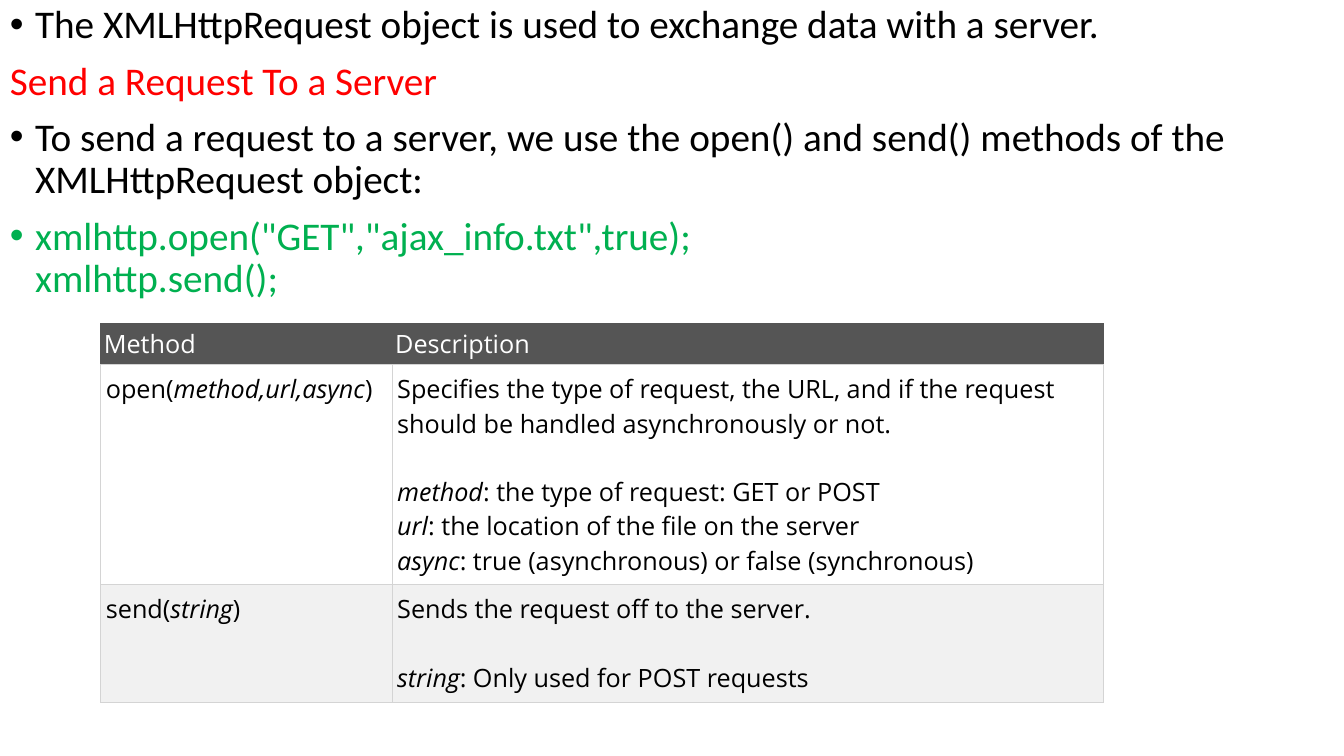
"""Builds a slide on the XMLHttpRequest open() and send() methods."""
from dataclasses import dataclass

from lxml.etree import SubElement
from pptx import Presentation
from pptx.dml.color import RGBColor
from pptx.oxml.ns import qn
from pptx.util import Inches, Pt

BLACK, WHITE, RED, GREEN = "000000", "FFFFFF", "FF0000", "00B050"
HEADER, STRIPE, BORDER = "555555", "F1F1F1", "D4D4D4"


@dataclass(frozen=True)
class Point:
    """A paragraph of the body text."""
    text: str
    color: str = BLACK
    bullet: bool = True


@dataclass(frozen=True)
class Row:
    """A table row, with italics between asterisks."""
    texts: tuple[str, str]
    height: float
    fill: str
    color: str = BLACK
    margins: tuple[float, float] = (0.05, 0.07)
    edge: str = BORDER


POINTS = [
    Point("The XMLHttpRequest object is used to exchange data with a server."),
    Point("Send a Request To a Server", RED, False),
    Point("To send a request to a server, we use the open() and send() methods "
          "of the XMLHttpRequest object:"),
    Point('xmlhttp.open("GET","ajax_info.txt",true);\nxmlhttp.send();', GREEN),
]
ROWS = [
    Row(("Method", "Description"), 0.41, HEADER, WHITE, (0.03, 0.03), HEADER),
    Row(("open(*method,url,async*)",
         "Specifies the type of request, the URL, and if the request should be "
         "handled asynchronously or not.\n\n"
         "*method*: the type of request: GET or POST\n"
         "*url*: the location of the file on the server\n"
         "*async*: true (asynchronous) or false (synchronous)"), 2.18, WHITE),
    Row(("send(*string*)",
         "Sends the request off to the server.\n\n"
         "*string*: Only used for POST requests"), 1.17, STRIPE),
]
COLUMNS = (2.89, 7.05)


def rgb(color: str) -> RGBColor:
    """Turn a hex string into a colour."""
    return RGBColor.from_string(color)


def style(p, size: float, name: str, color: str) -> None:
    """Set the font of a paragraph."""
    p.font.size, p.font.name = Pt(size), name
    p.font.color.rgb = rgb(color)


def add_text(p, text: str) -> None:
    """Write lines whose asterisked parts are italic."""
    for i, line in enumerate(text.split("\n")):
        if i:
            p.add_line_break()
        for j, part in enumerate(line.split("*")):
            if part:
                r = p.add_run()
                r.text = part
                if j % 2:
                    r.font.italic = True


def add_bullet(p) -> None:
    """Give a paragraph a hanging bullet."""
    pPr = p._p.get_or_add_pPr()
    pPr.set("marL", str(Inches(0.25)))
    pPr.set("indent", str(Inches(-0.25)))
    font = pPr.makeelement(qn("a:buFont"), {"typeface": "Arial"})
    char = pPr.makeelement(qn("a:buChar"), {"char": "•"})
    pPr.find(qn("a:defRPr")).addprevious(font)
    font.addnext(char)


def add_points(s, points: list[Point]) -> None:
    """Add the body text."""
    tf = s.shapes.add_textbox(0, 0, Inches(12.42), Inches(6.76)).text_frame
    tf.word_wrap = True
    for i, point in enumerate(points):
        p = tf.add_paragraph() if i else tf.paragraphs[0]
        p.line_spacing, p.space_before = 0.9, Pt(10)
        style(p, 28, "Calibri", point.color)
        add_text(p, point.text)
        if point.bullet:
            add_bullet(p)


def add_borders(cell, edge: str) -> None:
    """Draw the four borders of a cell."""
    tcPr = cell._tc.get_or_add_tcPr()
    sides = {"lnL": edge, "lnR": edge, "lnT": edge, "lnB": BORDER}
    for i, (side, color) in enumerate(sides.items()):
        ln = tcPr.makeelement(qn(f"a:{side}"), {"w": str(Pt(0.75))})
        fill = SubElement(ln, qn("a:solidFill"))
        SubElement(fill, qn("a:srgbClr"), val=color)
        tcPr.insert(i, ln)


def fill_cell(cell, row: Row, text: str) -> None:
    """Fill, border and write one cell."""
    cell.fill.solid()
    cell.fill.fore_color.rgb = rgb(row.fill)
    side, end = map(Inches, row.margins)
    cell.margin_left = cell.margin_right = side
    cell.margin_top = cell.margin_bottom = end
    add_borders(cell, row.edge)
    p = cell.text_frame.paragraphs[0]
    style(p, 18, "Open Sans", row.color)
    add_text(p, text)


def add_methods(s, rows: list[Row]) -> None:
    """Add the table of methods."""
    height = sum(row.height for row in rows)
    table = s.shapes.add_table(len(rows), len(COLUMNS), Inches(1), Inches(3.21),
                               Inches(sum(COLUMNS)), Inches(height)).table
    for column, width in zip(table.columns, COLUMNS):
        column.width = Inches(width)
    for i, row in enumerate(rows):
        table.rows[i].height = Inches(row.height)
        for j, text in enumerate(row.texts):
            fill_cell(table.cell(i, j), row, text)


def main() -> None:
    """Build and save the slide."""
    prs = Presentation()
    prs.slide_width, prs.slide_height = Inches(13.33), Inches(7.5)
    s = prs.slides.add_slide(prs.slide_layouts[6])
    add_points(s, POINTS)
    add_methods(s, ROWS)
    prs.save("out.pptx")


main()
